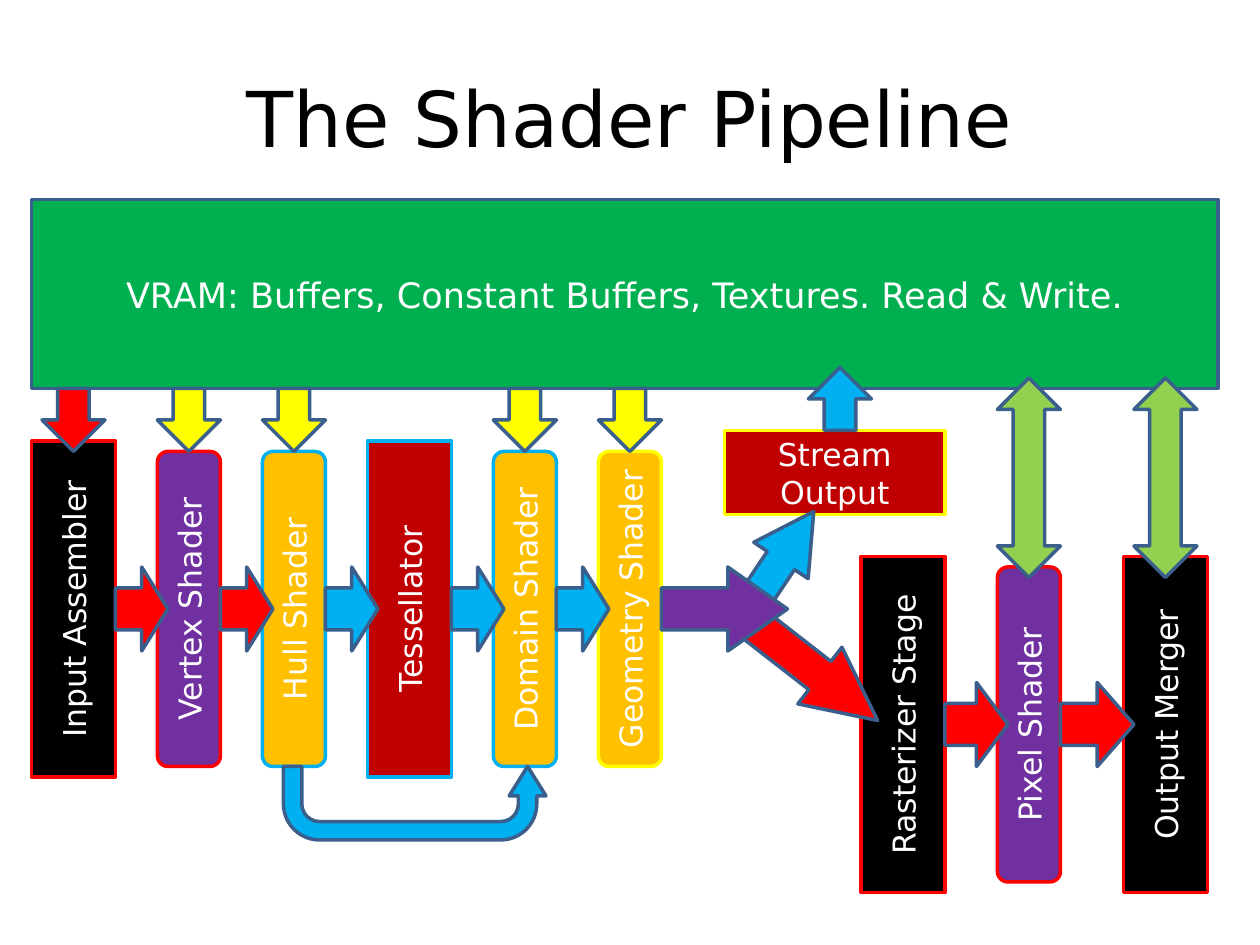
from pptx import Presentation
from pptx.dml.color import RGBColor
from pptx.enum import shapes, text
from pptx.util import Pt

FONT = "DejaVu Sans"
BLACK = RGBColor(0x00, 0x00, 0x00)
WHITE = RGBColor(0xFF, 0xFF, 0xFF)
RED = RGBColor(0xFF, 0x00, 0x00)
DARK_RED = RGBColor(0xC0, 0x00, 0x00)
YELLOW = RGBColor(0xFF, 0xFF, 0x00)
GOLD = RGBColor(0xFF, 0xC0, 0x00)
BLUE = RGBColor(0x00, 0xB0, 0xF0)
PURPLE = RGBColor(0x70, 0x30, 0xA0)
GREEN = RGBColor(0x00, 0xB0, 0x50)
LIME = RGBColor(0x92, 0xD0, 0x50)
OUTLINE = RGBColor(0x3A, 0x5F, 0x8C)

KIND = shapes.MSO_SHAPE
UPPER_ROW, LOWER_ROW = 252, 318
VRAM_BOTTOM = 222

STAGES = [
    ("Input Assembler", 18, UPPER_ROW, BLACK, RED, False),
    ("Vertex Shader", 90, UPPER_ROW, PURPLE, RED, True),
    ("Hull Shader", 150, UPPER_ROW, GOLD, BLUE, True),
    ("Tessellator", 210, UPPER_ROW, DARK_RED, BLUE, False),
    ("Domain Shader", 282, UPPER_ROW, GOLD, BLUE, True),
    ("Geometry Shader", 342, UPPER_ROW, GOLD, YELLOW, True),
    ("Rasterizer Stage", 492, LOWER_ROW, BLACK, RED, False),
    ("Pixel Shader", 570, LOWER_ROW, PURPLE, RED, True),
    ("Output Merger", 642, LOWER_ROW, BLACK, RED, False),
]

FLOW_ARROWS = [
    (66, UPPER_ROW, 30, RED),
    (126, UPPER_ROW, 30, RED),
    (186, UPPER_ROW, 30, BLUE),
    (258, UPPER_ROW, 30, BLUE),
    (318, UPPER_ROW, 30, BLUE),
    (540, LOWER_ROW, 36, RED),
    (606, LOWER_ROW, 42, RED),
]

READ_ARROWS = [(24, RED), (90, YELLOW), (150, YELLOW), (282, YELLOW), (342, YELLOW)]


def add_block(page, kind, left, top, width, height, fill, line=OUTLINE,
              rotation=0, adjustments=()):
    block = page.shapes.add_shape(kind, Pt(left), Pt(top), Pt(width), Pt(height))
    block.shadow.inherit = False
    block.fill.solid()
    block.fill.fore_color.rgb = fill
    block.line.color.rgb = line
    block.line.width = Pt(2)
    block.rotation = rotation
    for index, value in enumerate(adjustments):
        block.adjustments[index] = value
    return block


def write_text(box, words, size, color):
    frame = box.text_frame
    frame.word_wrap = True
    frame.auto_size = text.MSO_AUTO_SIZE.NONE
    frame.vertical_anchor = text.MSO_ANCHOR.MIDDLE
    para = frame.paragraphs[0]
    para.alignment = text.PP_ALIGN.CENTER
    span = para.add_run()
    span.text = words
    span.font.name = FONT
    span.font.size = Pt(size)
    span.font.color.rgb = color


def write_upward(block, words):
    write_text(block, words, 18, WHITE)
    block.text_frame._txBody.bodyPr.set("vert", "vert270")


def add_title(page):
    title = page.shapes.title
    title.left, title.top, title.width, title.height = Pt(36), Pt(21.6), Pt(648), Pt(90)
    write_text(title, "The Shader Pipeline", 44, BLACK)


def add_stage(page, name, left, row, fill, line, programmable):
    if programmable:
        stage = add_block(page, KIND.ROUNDED_RECTANGLE, left, row + 6, 36, 180, fill, line)
    else:
        stage = add_block(page, KIND.RECTANGLE, left, row, 48, 192, fill, line)
    write_upward(stage, name)


def add_flow_arrow(page, left, row, width, fill):
    add_block(page, KIND.RIGHT_ARROW, left, row + 72, width, 48, fill)


def add_bypass(page):
    bypass = add_block(page, KIND.U_TURN_ARROW, 162, 438, 150, 42, BLUE,
                       adjustments=(0.25, 0.25, 0.4, 0.49, 1))
    bypass._element.spPr.get_or_add_xfrm().set("flipV", "1")


def add_branches(page):
    add_block(page, KIND.RIGHT_ARROW, 421.9, 296.6, 55.4, 37.4, BLUE,
              rotation=303.8, adjustments=(0.5, 0.9))
    add_block(page, KIND.RIGHT_ARROW, 419, 362.9, 92.2, 41, RED,
              rotation=37.9, adjustments=(0.5, 1.02))
    add_block(page, KIND.RIGHT_ARROW, 378, UPPER_ROW + 72, 72, 48, PURPLE,
              adjustments=(0.5, 0.71))


def main():
    deck = Presentation()
    deck.slide_width, deck.slide_height = Pt(720), Pt(540)
    page = deck.slides.add_slide(deck.slide_layouts[5])
    add_title(page)

    memory = add_block(page, KIND.RECTANGLE, 18, 114, 678, 108, GREEN)
    write_text(memory, "VRAM: Buffers, Constant Buffers, Textures. Read & Write.", 20, WHITE)

    for stage in STAGES:
        add_stage(page, *stage)
    stream = add_block(page, KIND.RECTANGLE, 453, 207, 48, 126, DARK_RED, YELLOW, rotation=90)
    write_upward(stream, "Stream Output")

    for left, fill in READ_ARROWS:
        add_block(page, KIND.DOWN_ARROW, left, VRAM_BOTTOM, 36, 36, fill)
    for arrow in FLOW_ARROWS:
        add_flow_arrow(page, *arrow)
    add_bypass(page)
    add_branches(page)
    add_block(page, KIND.DOWN_ARROW, 462, VRAM_BOTTOM - 12, 36, 36, BLUE, rotation=180)
    for left in (570, 648):
        add_block(page, KIND.UP_DOWN_ARROW, left, VRAM_BOTTOM - 6, 36, 114, LIME)

    deck.save("out.pptx")


if __name__ == "__main__":
    main()
